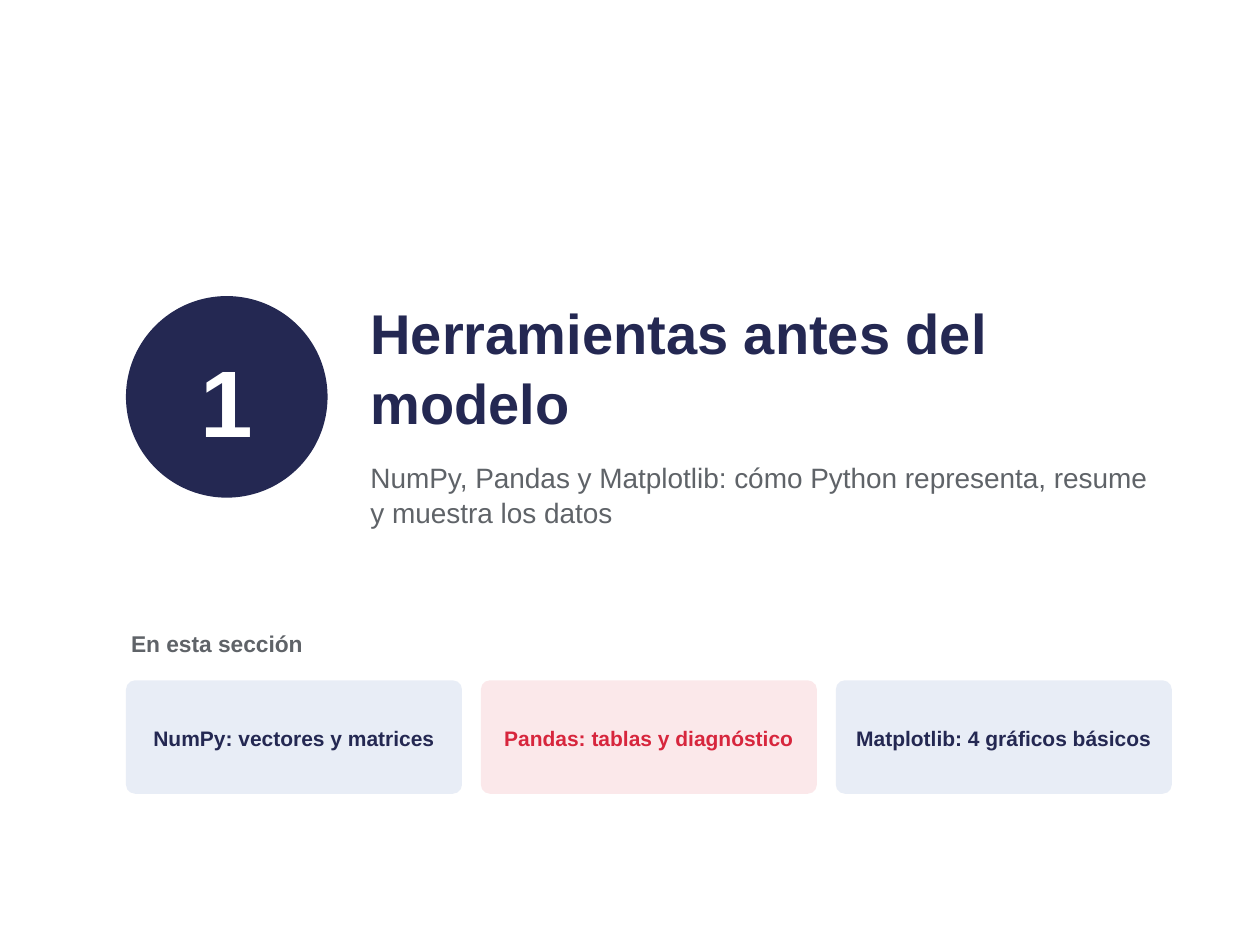
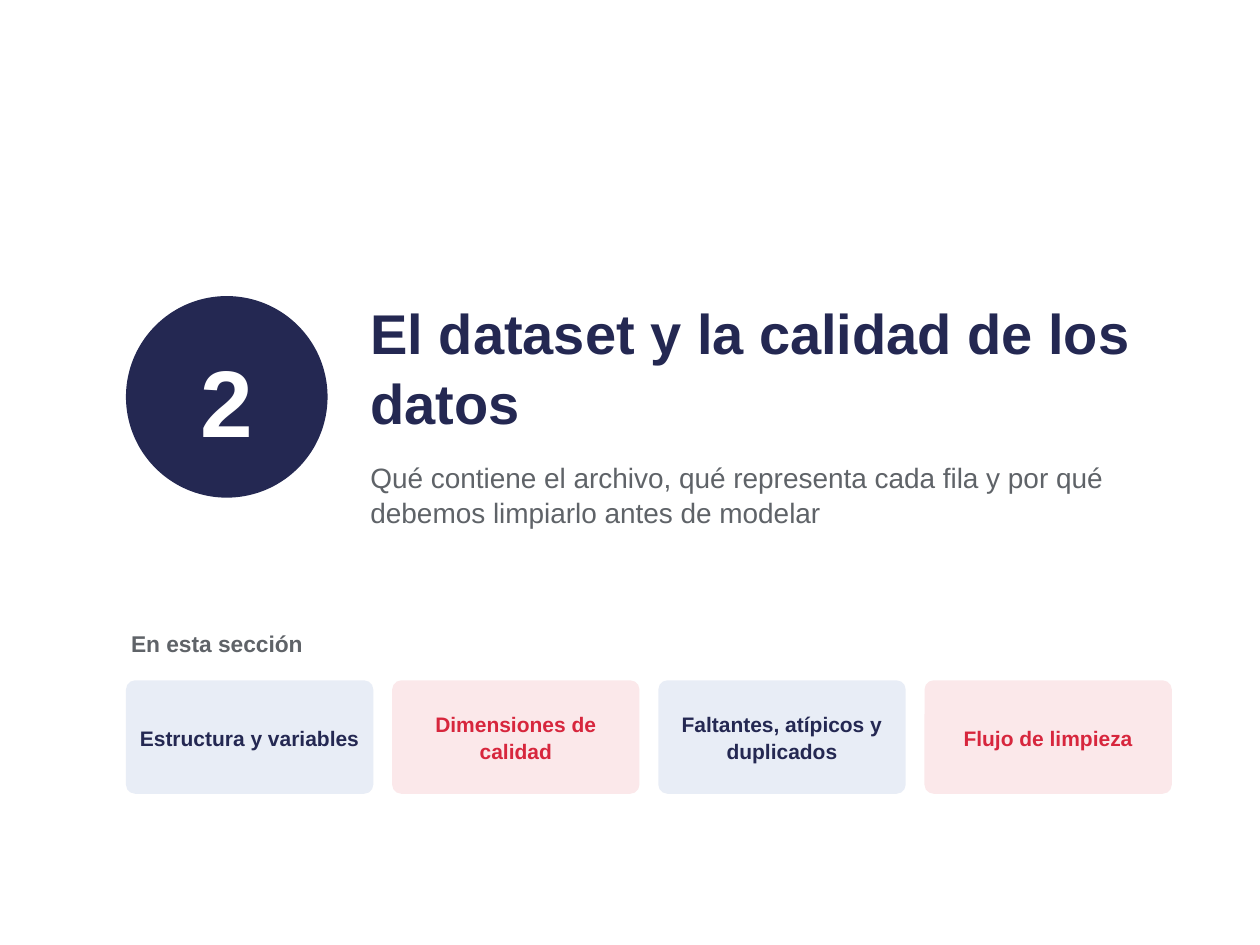
from pptx import Presentation
from pptx.dml.color import RGBColor
from pptx.enum.shapes import MSO_SHAPE
from pptx.enum.text import MSO_ANCHOR, MSO_AUTO_SIZE, PP_ALIGN
from pptx.util import Emu, Pt

PX_PER_INCH = 100
FONT = "Arial"
NAVY, RED, GREY, WHITE = "242852", "D7263D", "5F6368", "FFFFFF"
PALE_BLUE, PALE_RED = "E8EDF6", "FBE8EA"
CARD_STYLES = [(PALE_BLUE, NAVY), (PALE_RED, RED)]
LEFT, CONTENT_WIDTH, CARD_GAP = 100, 830, 15
HEADING_LEFT, HEADING_WIDTH = 290, 640
TEXT_INSET, SHAPE_INSET = 4, 8

SECTIONS = [
    (
        "Herramientas antes del modelo",
        "NumPy, Pandas y Matplotlib: cómo Python representa, resume y muestra los datos",
        ["NumPy: vectores y matrices", "Pandas: tablas y diagnóstico",
         "Matplotlib: 4 gráficos básicos"],
    ),
    (
        "El dataset y la calidad de los datos",
        "Qué contiene el archivo, qué representa cada fila y por qué debemos "
        "limpiarlo antes de modelar",
        ["Estructura y variables", "Dimensiones de calidad",
         "Faltantes, atípicos y duplicados", "Flujo de limpieza"],
    ),
]


def px(length):
    """Turn a length in px into EMU."""
    return Emu(round(length * 914400 / PX_PER_INCH))


def color(value):
    """Turn a hex string into a colour."""
    return RGBColor.from_string(value)


def write(box, text, size, ink, bold, inset, anchor, align, space_after):
    """Set the text of a shape and format its frame, paragraph and run."""
    frame = box.text_frame
    frame.text = text
    frame.word_wrap = True
    frame.vertical_anchor = anchor
    frame.margin_left = frame.margin_right = px(inset)
    frame.margin_top = frame.margin_bottom = px(inset)
    para = frame.paragraphs[0]
    para.alignment = align
    para.line_spacing = 1.05
    para.space_before = Pt(0)
    para.space_after = Pt(space_after)
    font = para.runs[0].font
    font.name, font.size, font.bold = FONT, Pt(size), bold
    font.color.rgb = color(ink)


def write_plain(box, text, size, ink, bold, anchor=MSO_ANCHOR.TOP):
    """Write left-aligned text in a box that grows with it."""
    write(box, text, size, ink, bold, TEXT_INSET, anchor, PP_ALIGN.LEFT, 4)
    box.text_frame.auto_size = MSO_AUTO_SIZE.SHAPE_TO_FIT_TEXT


def add_title(page, text):
    """Place and format the title placeholder."""
    title = page.shapes.title
    title.left, title.top = px(HEADING_LEFT), px(200)
    title.width, title.height = px(HEADING_WIDTH), px(150)
    write_plain(title, text, 32, NAVY, True, MSO_ANCHOR.BOTTOM)


def add_label(page, left, top, width, height, text, size, bold):
    """Add a grey text box."""
    box = page.shapes.add_textbox(px(left), px(top), px(width), px(height))
    write_plain(box, text, size, GREY, bold)


def add_filled(page, kind, left, top, width, height, fill, text, size, ink):
    """Add a filled shape without outline and with bold centred text."""
    box = page.shapes.add_shape(kind, px(left), px(top), px(width), px(height))
    box.shadow.inherit = False
    box.fill.solid()
    box.fill.fore_color.rgb = color(fill)
    box.line.fill.background()
    write(box, text, size, ink, True, SHAPE_INSET, MSO_ANCHOR.MIDDLE,
          PP_ALIGN.CENTER, 3)
    return box


def add_topic_cards(page, topics):
    """Spread the topic cards evenly over the content width."""
    width = (CONTENT_WIDTH - CARD_GAP * (len(topics) - 1)) / len(topics)
    for index, topic in enumerate(topics):
        fill, ink = CARD_STYLES[index % len(CARD_STYLES)]
        left = LEFT + index * (width + CARD_GAP)
        card = add_filled(page, MSO_SHAPE.ROUNDED_RECTANGLE, left, 540, width, 90,
                          fill, topic, 12, ink)
        card.adjustments[0] = 0.08


def add_section(deck, number, heading, summary, topics):
    """Add a section opener slide."""
    page = deck.slides.add_slide(deck.slide_layouts[5])
    add_label(page, LEFT, 495, CONTENT_WIDTH, 40, "En esta sección", 13, True)
    add_topic_cards(page, topics)
    add_filled(page, MSO_SHAPE.OVAL, LEFT, 235, 160, 160, NAVY, str(number), 54, WHITE)
    add_title(page, heading)
    add_label(page, HEADING_LEFT, 360, HEADING_WIDTH, 120, summary, 16, False)


def main():
    """Build the deck and save it."""
    deck = Presentation()
    deck.slide_width, deck.slide_height = px(1000), px(750)
    for number, section in enumerate(SECTIONS, start=1):
        add_section(deck, number, *section)
    deck.save("out.pptx")


if __name__ == "__main__":
    main()
